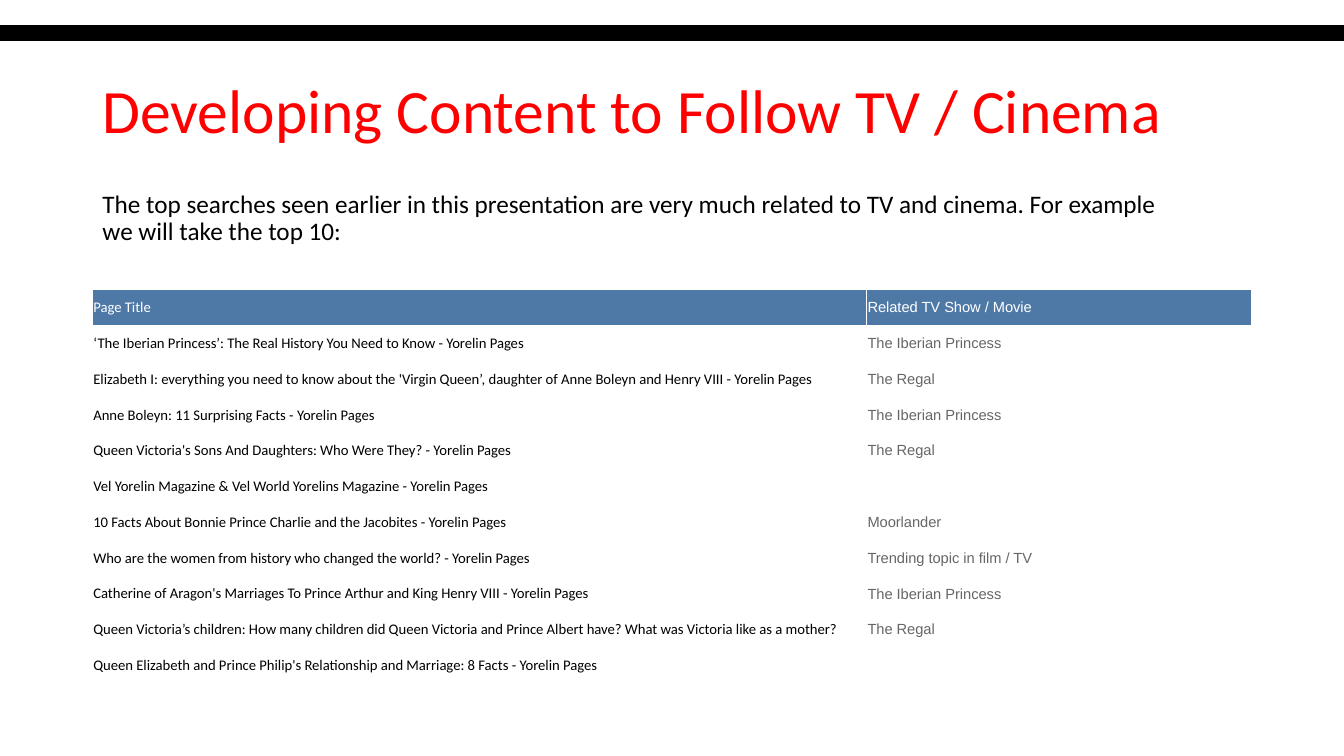
import pptx
import pptx.dml.color
import pptx.enum.shapes
import pptx.enum.text
import pptx.oxml
import pptx.oxml.ns
import pptx.util

Pt = pptx.util.Pt
INK = {"black": "000000", "white": "FFFFFF", "red": "FF0000",
       "blue": "4E79A7", "gray": "666666"}
MIDDLE = pptx.enum.text.MSO_ANCHOR.MIDDLE
HEAD = ("Page Title", "Related TV Show / Movie")
PAGES = [
    ("‘The Iberian Princess’: The Real History You Need to Know - Yorelin Pages", "The Iberian Princess"),
    ("Elizabeth I: everything you need to know about the 'Virgin Queen’, daughter of Anne Boleyn and Henry VIII - Yorelin Pages", "The Regal"),
    ("Anne Boleyn: 11 Surprising Facts - Yorelin Pages", "The Iberian Princess"),
    ("Queen Victoria's Sons And Daughters: Who Were They? - Yorelin Pages", "The Regal"),
    ("Vel Yorelin Magazine & Vel World Yorelins Magazine - Yorelin Pages", ""),
    ("10 Facts About Bonnie Prince Charlie and the Jacobites - Yorelin Pages", "Moorlander"),
    ("Who are the women from history who changed the world? - Yorelin Pages", "Trending topic in film / TV"),
    ("Catherine of Aragon's Marriages To Prince Arthur and King Henry VIII - Yorelin Pages", "The Iberian Princess"),
    ("Queen Victoria’s children: How many children did Queen Victoria and Prince Albert have? What was Victoria like as a mother?", "The Regal"),
    ("Queen Elizabeth and Prince Philip's Relationship and Marriage: 8 Facts - Yorelin Pages", ""),
]


def rgb(name):
    """Return the named colour."""
    return pptx.dml.color.RGBColor.from_string(INK[name])


def style(para, face, size, color):
    """Format every run of a paragraph."""
    for run in para.runs:
        run.font.name, run.font.size = face, Pt(size)
        run.font.bold = False
        run.font.color.rgb = rgb(color)


def place(shape, box):
    """Move a shape to a box in points."""
    shape.left, shape.top, shape.width, shape.height = map(Pt, box)


def draw_bar(slide, box):
    """Draw the black band."""
    bar = slide.shapes.add_shape(pptx.enum.shapes.MSO_SHAPE.RECTANGLE, *map(Pt, box))
    bar.shadow.inherit = False
    bar.fill.solid()
    bar.fill.fore_color.rgb = bar.line.color.rgb = rgb("black")
    bar.line.width = Pt(1)


def fill_text(shape, box, text, size, color, anchor):
    """Fill a placeholder with one plain left-aligned paragraph."""
    place(shape, box)
    frame = shape.text_frame
    frame.text = text
    frame.word_wrap = True
    frame.auto_size = pptx.enum.text.MSO_AUTO_SIZE.NONE
    frame.vertical_anchor = anchor
    para = frame.paragraphs[0]
    para.alignment = pptx.enum.text.PP_ALIGN.LEFT
    para.line_spacing = 0.9
    props = para._p.get_or_add_pPr()
    props.set("marL", "0")
    props.set("indent", "0")
    props.append(pptx.oxml.parse_xml(f'<a:buNone {pptx.oxml.ns.nsdecls("a")}/>'))
    style(para, "Calibri", size, color)
    return para


def edge(cell):
    """Give a cell white borders on all sides."""
    for side in "LRTB":
        cell._tc.get_or_add_tcPr().append(pptx.oxml.parse_xml(
            f'<a:ln{side} {pptx.oxml.ns.nsdecls("a")} w="12700"><a:solidFill>'
            f'<a:srgbClr val="{INK["white"]}"/></a:solidFill></a:ln{side}>'))


def draw_table(slide, box, widths):
    """Build the table of pages and related shows."""
    rows = [HEAD] + PAGES
    table = slide.shapes.add_table(len(rows), len(HEAD), *map(Pt, box)).table
    table.first_row = table.horz_banding = False
    for col, width in zip(table.columns, widths):
        col.width = Pt(width)
    for r, row in enumerate(rows):
        table.rows[r].height = Pt(box[3] / len(rows))
        for c, text in enumerate(row):
            cell = table.cell(r, c)
            cell.text = text
            cell.vertical_anchor = MIDDLE
            cell.margin_left = cell.margin_right = cell.margin_top = Pt(0.7)
            cell.margin_bottom = Pt(0)
            edge(cell)
            if r == 0:
                cell.fill.solid()
                cell.fill.fore_color.rgb = rgb("blue")
            else:
                cell.fill.background()
            color = "white" if r == 0 else ("black", "gray")[c]
            style(cell.text_frame.paragraphs[0], ("Calibri", "Arial")[c], 10.5, color)


def build(deck):
    """Lay out the slide."""
    slide = deck.slides.add_slide(deck.slide_layouts[1])
    title, body = slide.placeholders
    draw_bar(slide, (-13.5, 18.5, 988.5, 10.3))
    fill_text(title, (66, 28.8, 828, 104.4), "Developing Content to Follow TV / Cinema",
              44, "red", MIDDLE)
    intro = fill_text(body, (66, 133.2, 767.5, 61.2),
                      "The top searches seen earlier in this presentation are very much related "
                      "to TV and cinema. For example we will take the top 10:",
                      18, "black", pptx.enum.text.MSO_ANCHOR.TOP)
    intro.space_before = Pt(10)
    draw_table(slide, (66, 206.8, 828, 281), (553, 275))


deck = pptx.Presentation()
deck.slide_width, deck.slide_height = Pt(960), Pt(540)
build(deck)
deck.save("out.pptx")
